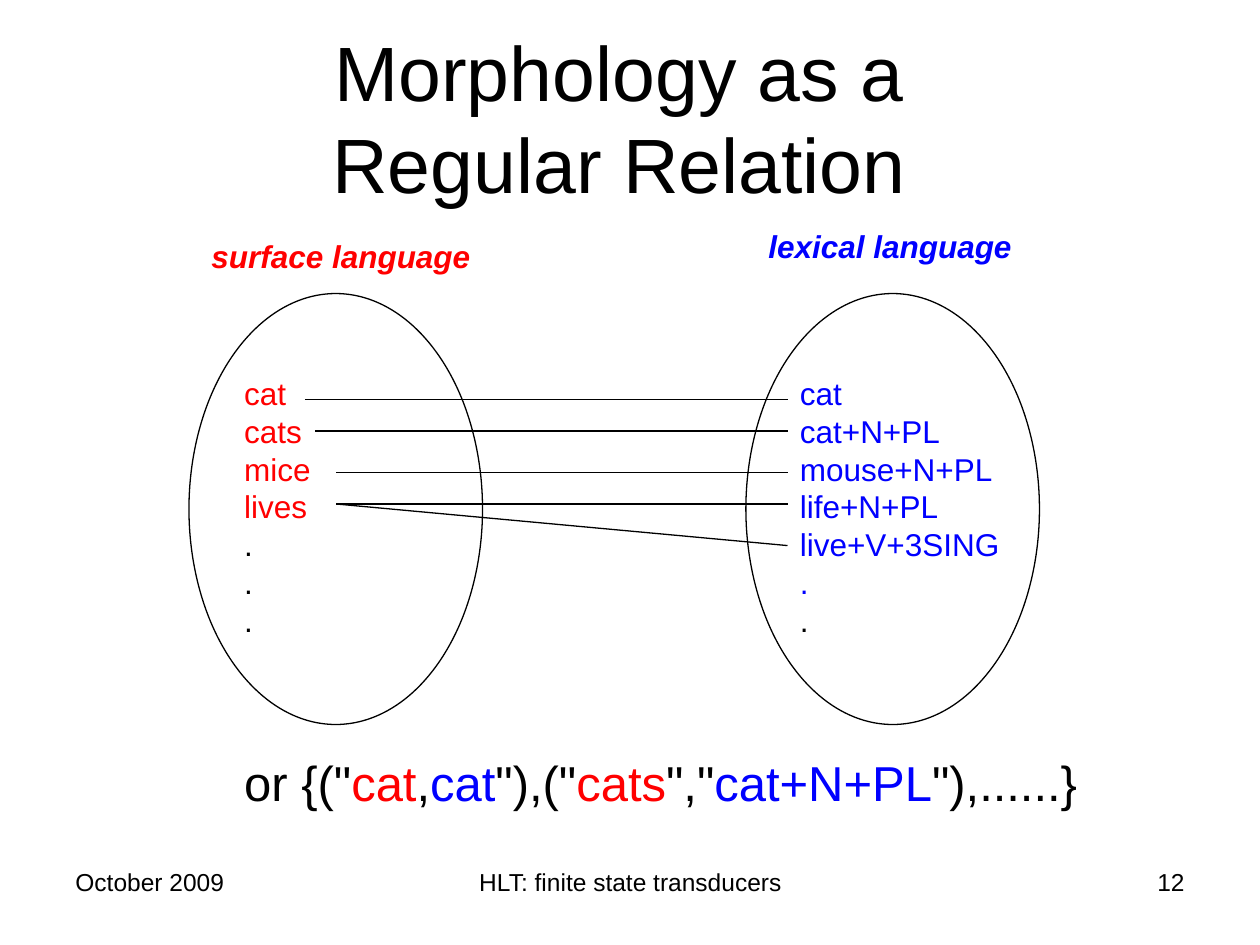
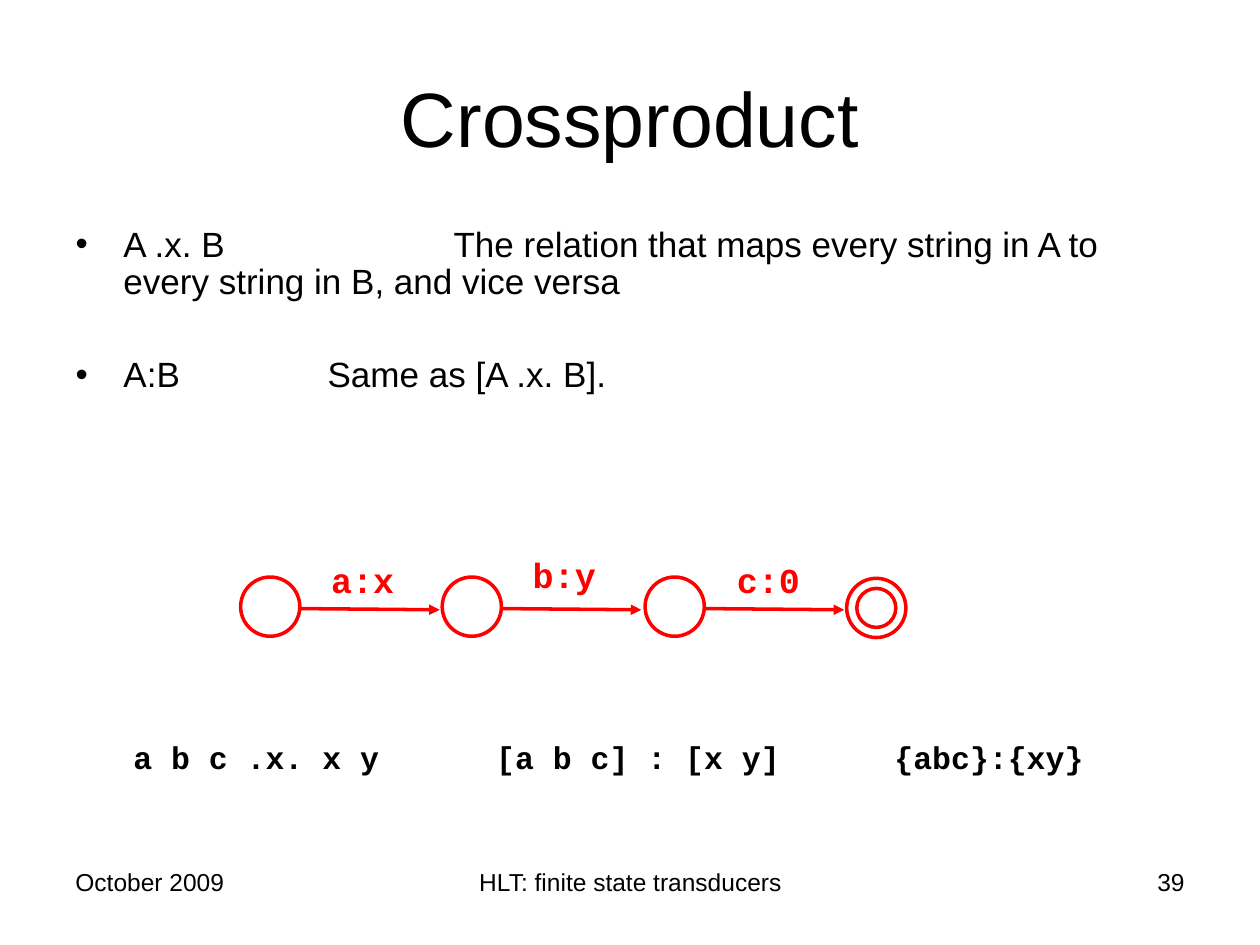
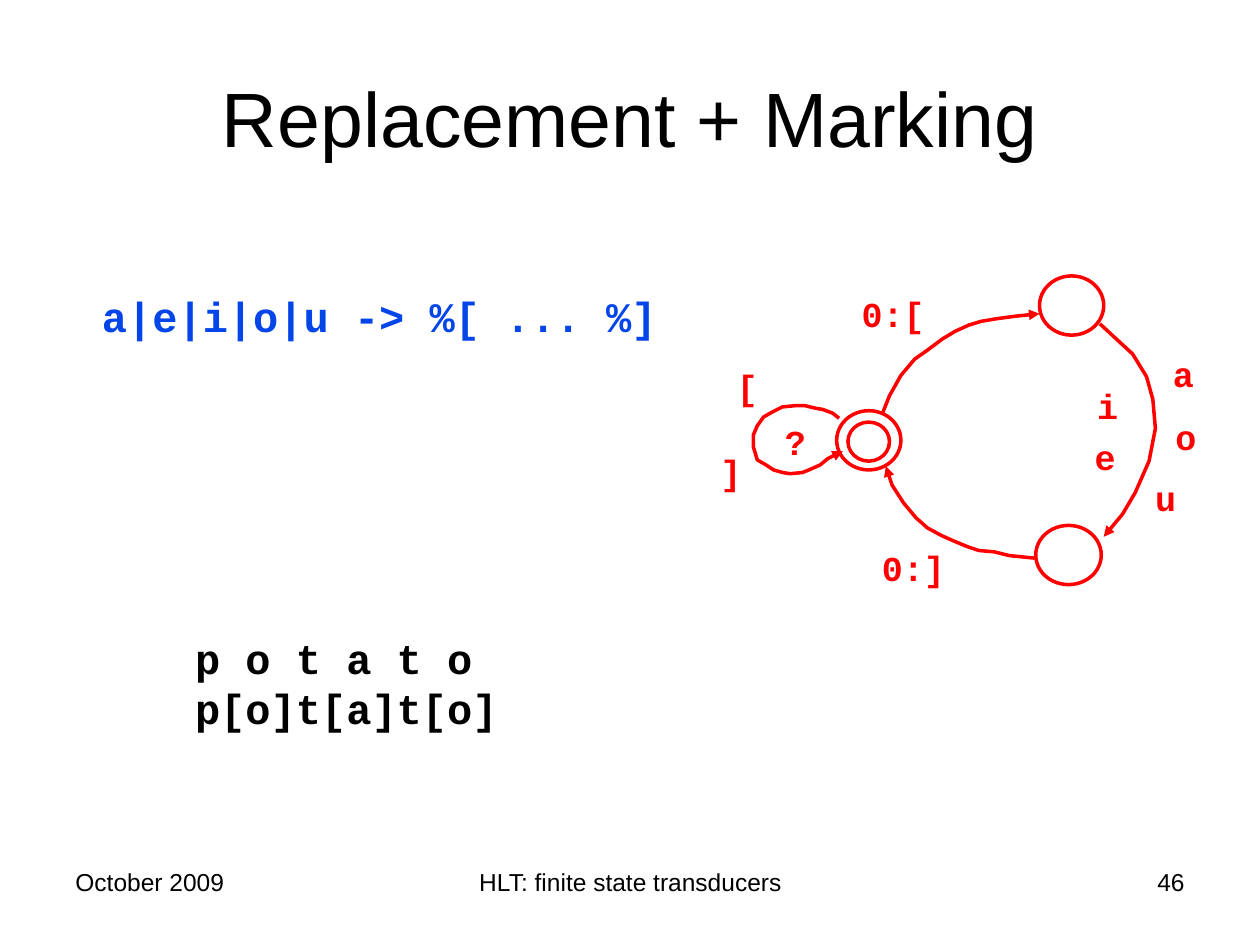
"""Build three lecture slides on finite state transducers."""
from dataclasses import dataclass
from typing import NamedTuple

from lxml import etree
from pptx import Presentation
from pptx import util as u
from pptx.dml.color import RGBColor
from pptx.enum import shapes, text
from pptx.oxml import ns


@dataclass(frozen=True)
class Theme:
    """Colours, fonts, type sizes and line widths of the deck."""
    black: str = "000000"
    red: str = "FF0000"
    blue: str = "0000FF"
    rule_blue: str = "0345E9"
    sans: str = "Arial"
    mono: str = "Courier New"
    title: int = 44
    formula: int = 28
    code: int = 24
    body: int = 20
    label: int = 18
    footer: int = 14
    thin: float = 0.75
    thick: float = 2


class Box(NamedTuple):
    """Left, top, width and height in inches."""
    left: float
    top: float
    width: float
    height: float

    def emu(self) -> list[u.Length]:
        """Give the four lengths as slide units."""
        return [u.Inches(v) for v in self]


class Span(NamedTuple):
    """Words in one colour."""
    words: str
    color: str


class Step(NamedTuple):
    """A state, and the label of the arc that leaves it."""
    left: float
    label: str
    label_left: float
    label_top: float


T = Theme()
ALIGN = text.PP_ALIGN


def write(p, words: str, *, size: float, color: str = T.black, font: str = T.sans,
          bold: bool = False, italic: bool = False, align=ALIGN.LEFT) -> None:
    """Append formatted words to a paragraph, with a line break at each newline."""
    p.alignment = align
    for i, part in enumerate(words.split("\n")):
        if i:
            p.add_line_break()
        r = p.add_run()
        r.text = part
        r.font.size = u.Pt(size)
        r.font.name = font
        r.font.bold = bold
        r.font.italic = italic
        r.font.color.rgb = RGBColor.from_string(color)


def add_text(s, box: Box, lines: list[list[Span]], **fmt) -> None:
    """Add a text box with one paragraph for each line of spans."""
    tf = s.shapes.add_textbox(*box.emu()).text_frame
    tf.word_wrap = True
    for i, spans in enumerate(lines):
        p = tf.add_paragraph() if i else tf.paragraphs[0]
        for span in spans:
            write(p, span.words, color=span.color, **fmt)


def add_label(s, words: str, left: float, top: float, width: float = 0.46) -> None:
    """Add the red label of a transducer arc."""
    add_text(s, Box(left, top, width, 0.43), [[Span(words, T.red)]],
             size=T.body, font=T.mono, bold=True)


def style_line(sp, color: str, width: float, arrow: bool = False) -> None:
    """Set the line of a shape, with an arrowhead at its end if asked."""
    sp.line.color.rgb = RGBColor.from_string(color)
    sp.line.width = u.Pt(width)
    if arrow:
        ln = sp._element.spPr.find(ns.qn("a:ln"))
        etree.SubElement(ln, ns.qn("a:tailEnd"), type="triangle")


def add_ellipse(s, box: Box, color: str = T.red, width: float = T.thick) -> None:
    """Add an unfilled ellipse."""
    sp = s.shapes.add_shape(shapes.MSO_SHAPE.OVAL, *box.emu())
    sp.fill.background()
    sp.shadow.inherit = False
    style_line(sp, color, width)


def add_line(s, x1: float, y1: float, x2: float, y2: float, color: str = T.black,
             width: float = T.thin, arrow: bool = False) -> None:
    """Add a straight line or arrow."""
    ends = [u.Inches(v) for v in (x1, y1, x2, y2)]
    sp = s.shapes.add_connector(shapes.MSO_CONNECTOR.STRAIGHT, *ends)
    style_line(sp, color, width, arrow)
    etree.SubElement(sp._element.spPr, ns.qn("a:effectLst"))


def add_arc(s, points: list[tuple[float, float]]) -> None:
    """Add a bent red arrow through the points."""
    start, *rest = [(u.Inches(x), u.Inches(y)) for x, y in points]
    builder = s.shapes.build_freeform(*start)
    builder.add_line_segments(rest, close=False)
    sp = builder.convert_to_shape()
    sp.fill.background()
    sp.shadow.inherit = False
    style_line(sp, T.red, T.thick, arrow=True)


def place(sp, box: Box) -> None:
    """Move a placeholder into a box."""
    sp.left, sp.top, sp.width, sp.height = box.emu()


def add_slide(prs, title: str, number: int, layout: int = 5):
    """Add a slide with its title and footers."""
    s = prs.slides.add_slide(prs.slide_layouts[layout])
    place(s.shapes.title, Box(0.5, 0.3, 9, 1.25))
    tf = s.shapes.title.text_frame
    tf.vertical_anchor = text.MSO_ANCHOR.MIDDLE
    write(tf.paragraphs[0], title, size=T.title, align=ALIGN.CENTER)
    for words, left, width, align in (
            ("October 2009", 0.5, 2.33, ALIGN.LEFT),
            ("HLT: finite state transducers", 3.42, 3.17, ALIGN.CENTER),
            (str(number), 7.17, 2.33, ALIGN.RIGHT)):
        add_text(s, Box(left, 6.83, width, 0.52), [[Span(words, T.black)]],
                 size=T.footer, align=align)
    return s


def add_morphology(prs) -> None:
    """Add the slide that maps surface words to lexical forms."""
    s = add_slide(prs, "Morphology as a \nRegular Relation ", 12)
    surface = [[Span(w, T.red)] for w in ("cat", "cats", "mice", "lives")]
    lexical = [[Span(w, T.blue)] for w in
               ("cat", "cat+N+PL", "mouse+N+PL", "life+N+PL", "live+V+3SING", ".")]
    dot = [Span(".", T.black)]
    for left, words, box in ((1.5, surface + [dot] * 3, Box(1.84, 2.92, 0.9, 2.2)),
                             (5.92, lexical + [dot], Box(6.25, 2.92, 1.95, 2.2))):
        add_ellipse(s, Box(left, 2.33, 2.33, 3.42), T.black, T.thin)
        add_text(s, box, words, size=T.label)
    for name, color, box in (("surface language", T.red, Box(1.58, 1.83, 2.4, 0.4)),
                             ("lexical language", T.blue, Box(6, 1.75, 2.3, 0.4))):
        add_text(s, box, [[Span(name, color)]], size=T.label, bold=True, italic=True)
    for x, y1, y2 in ((2.42, 3.17, 3.17), (2.5, 3.42, 3.42), (2.67, 3.75, 3.75),
                      (2.67, 4, 4), (2.67, 4, 4.33)):
        add_line(s, x, y1, 6.25, y2)
    pairs = [Span('or {("', T.black), Span("cat", T.red), Span(",", T.black),
             Span("cat", T.blue), Span('"),("', T.black), Span("cats", T.red),
             Span('","', T.black), Span("cat+N+PL", T.blue), Span('"),......}', T.black)]
    add_text(s, Box(1.84, 5.92, 7.1, 0.57), [pairs], size=T.formula)


def add_crossproduct(prs) -> None:
    """Add the slide on the crossproduct operator."""
    s = add_slide(prs, "Crossproduct", 39, layout=1)
    body = s.placeholders[1]
    place(body, Box(0.5, 1.75, 9, 2.68))
    tf = body.text_frame
    items = ("A .x. B\t\tThe relation that maps every string in A to every string in B, "
             "and vice versa", "A:B\t\tSame as [A .x. B].")
    for i, words in enumerate(items):
        p = tf.add_paragraph() if i else tf.paragraphs[0]
        pPr = p._p.get_or_add_pPr()
        pPr.set("marL", str(u.Inches(0.38)))
        pPr.set("indent", str(u.Inches(-0.38)))
        tabs = etree.SubElement(pPr, ns.qn("a:tabLst"))
        for inch in range(1, 9):
            etree.SubElement(tabs, ns.qn("a:tab"), pos=str(u.Inches(inch)), algn="l")
        p.line_spacing = 0.9
        p.space_before = u.Pt(31.5 * i)
        write(p, words, size=T.body)

    size = 0.47
    for step in (Step(1.91, "a:x", 2.53, 4.38), Step(3.51, "b:y", 4.13, 4.34),
                 Step(5.12, "c:0", 5.75, 4.38)):
        add_ellipse(s, Box(step.left, 4.58, size, size))
        add_line(s, step.left + size, 4.83, step.left + 1.58, 4.84, T.red, T.thick, arrow=True)
        add_label(s, step.label, step.label_left, step.label_top, 0.83)
    add_ellipse(s, Box(6.72, 4.59, size, size))
    add_ellipse(s, Box(6.8, 4.67, 0.31, 0.31))

    for words, left, width in (("a b c .x. x y", 0.96, 2.3), ("[a b c] : [x y]", 3.84, 2.6),
                               ("{abc}:{xy}", 7, 1.85)):
        add_text(s, Box(left, 5.81, width, 0.4), [[Span(words, T.black)]],
                 size=T.label, font=T.mono, bold=True)


def add_replacement(prs) -> None:
    """Add the slide on replacement with marking."""
    s = add_slide(prs, "Replacement + Marking", 46)
    for box in (Box(6.73, 3.35, 0.33, 0.31), Box(6.64, 3.26, 0.51, 0.47),
                Box(8.25, 2.19, 0.51, 0.47), Box(8.22, 4.17, 0.52, 0.47)):
        add_ellipse(s, box)

    loop = [(6.66, 3.32), (6.61, 3.28), (6.53, 3.25), (6.47, 3.24), (6.39, 3.22),
            (6.31, 3.22), (6.21, 3.23), (6.13, 3.27), (6.06, 3.31), (6.01, 3.38),
            (5.98, 3.45), (5.98, 3.55), (6.01, 3.65), (6.08, 3.69), (6.14, 3.73),
            (6.21, 3.75), (6.27, 3.76), (6.37, 3.75), (6.42, 3.73), (6.51, 3.69),
            (6.57, 3.64), (6.69, 3.58)]
    opening = [(7, 3.29), (7.06, 3.14), (7.15, 2.98), (7.26, 2.85), (7.36, 2.78),
               (7.48, 2.69), (7.58, 2.63), (7.69, 2.58), (7.79, 2.55), (7.91, 2.53),
               (8.06, 2.51), (8.25, 2.49)]
    vowels = [(8.73, 2.57), (8.99, 2.81), (9.1, 2.99), (9.15, 3.17), (9.17, 3.4),
              (9.12, 3.66), (9.01, 3.91), (8.91, 4.08), (8.76, 4.26)]
    closing = [(8.21, 4.43), (8.01, 4.41), (7.89, 4.38), (7.77, 4.37), (7.68, 4.34),
               (7.56, 4.29), (7.47, 4.25), (7.36, 4.19), (7.27, 4.11), (7.17, 3.99),
               (7.08, 3.85), (7.03, 3.7)]
    for points in (loop, opening, vowels, closing):
        add_arc(s, points)

    for words, left, top, width in (("0:[", 6.74, 2.27, 0.76), ("0:]", 6.9, 4.29, 0.72),
                                    ("[", 5.75, 2.85, 0.37), ("]", 5.62, 3.53, 0.37),
                                    ("?", 6.13, 3.29, 0.38)):
        add_label(s, words, left, top, width)
    for vowel, left, top in (("a", 9.21, 2.75), ("e", 8.59, 3.41), ("i", 8.61, 3),
                             ("o", 9.23, 3.25), ("u", 9.07, 3.73)):
        add_label(s, vowel, left, top)

    code = dict(size=T.code, font=T.mono, bold=True)
    add_text(s, Box(0.61, 2.26, 4.8, 0.5), [[Span("a|e|i|o|u -> %[ ... %]", T.rule_blue)]],
             align=ALIGN.CENTER, **code)
    add_text(s, Box(1.45, 4.97, 2.8, 0.9),
             [[Span(w, T.black)] for w in ("p o t a t o", "p[o]t[a]t[o]")], **code)


def main() -> None:
    """Build and save the deck."""
    prs = Presentation()
    prs.slide_width, prs.slide_height = u.Inches(10), u.Inches(7.5)
    add_morphology(prs)
    add_crossproduct(prs)
    add_replacement(prs)
    prs.save("out.pptx")


if __name__ == "__main__":
    main()
